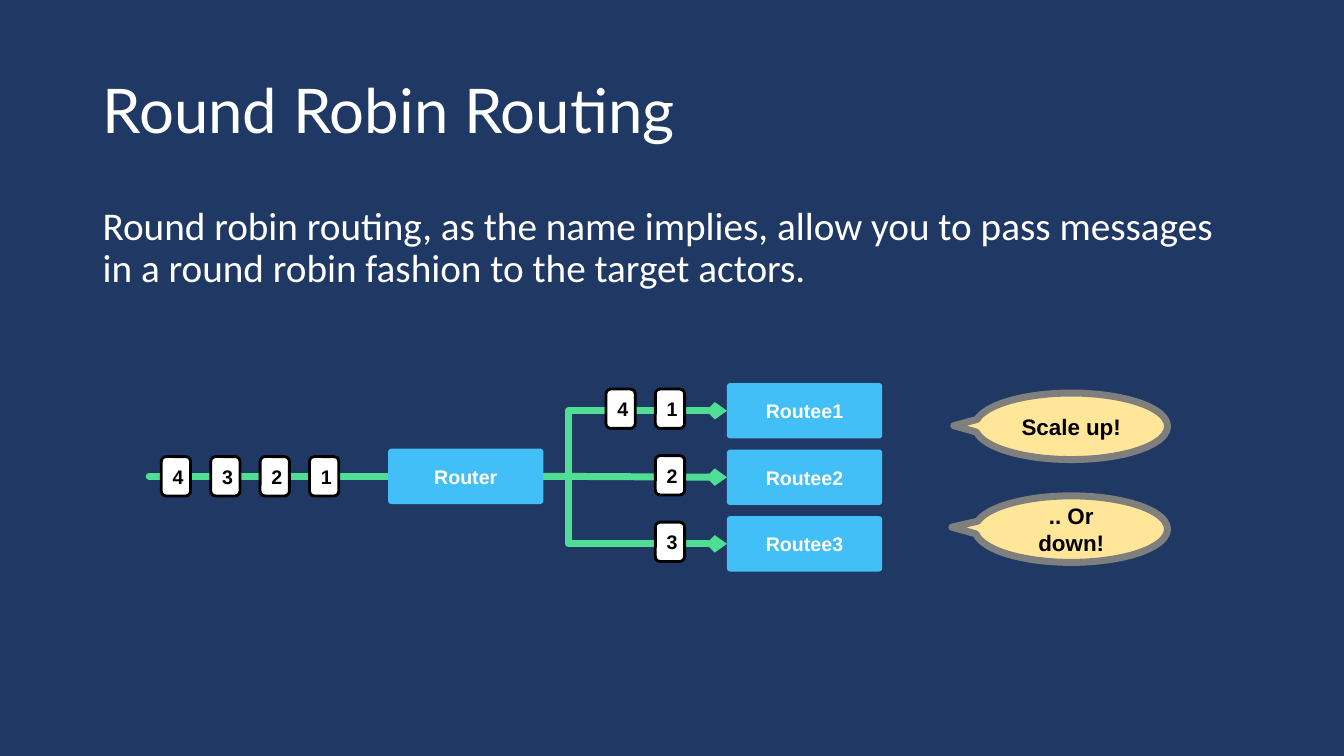
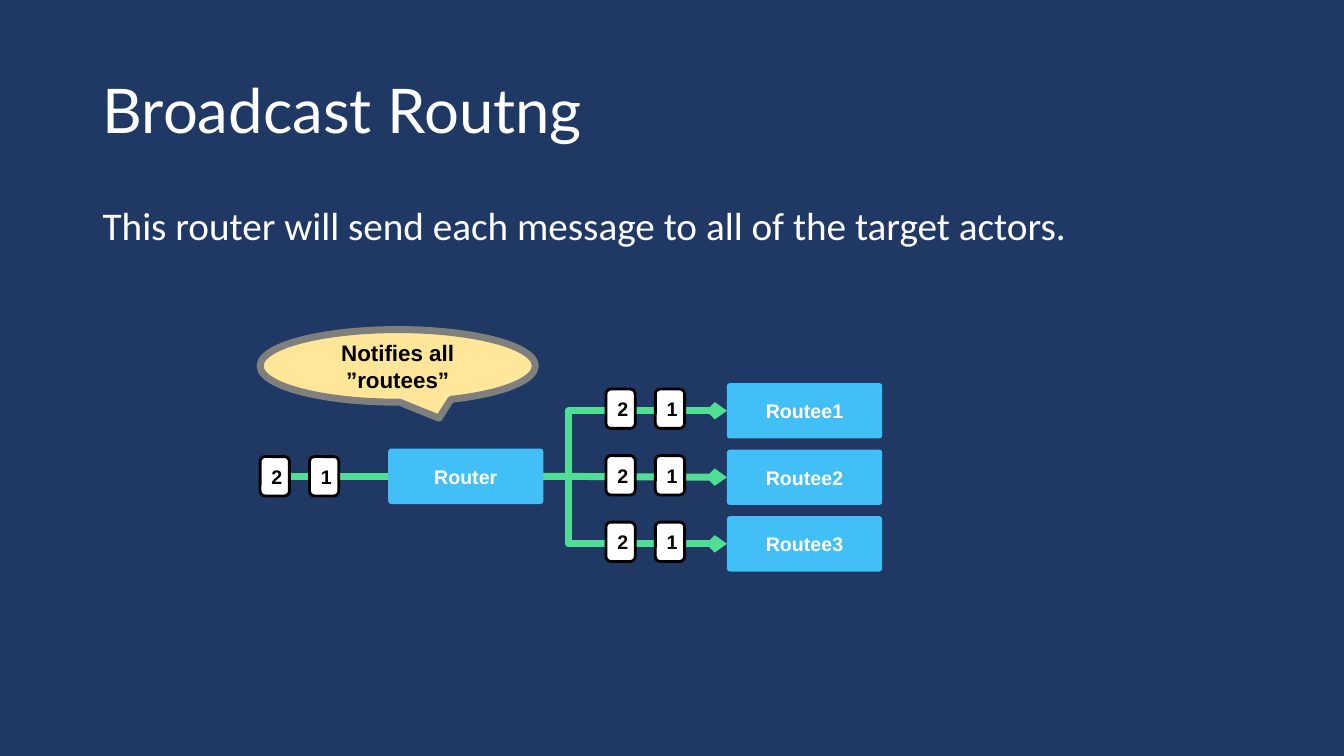
import pptx
import pptx.util
import pptx.dml.color
import pptx.enum.shapes
import pptx.enum.text
import pptx.oxml
import pptx.oxml.ns

Inches = pptx.util.Inches
SHAPE = pptx.enum.shapes.MSO_SHAPE
LINK = pptx.enum.shapes.MSO_CONNECTOR
ANCHOR = pptx.enum.text.MSO_ANCHOR
ALIGN = pptx.enum.text.PP_ALIGN

NAVY, WHITE, BLACK = "203864", "FFFFFF", "000000"
GREEN, BLUE, YELLOW, GREY = "50DE94", "43BFF7", "FFE699", "7F807D"

BOX_W, BOX_H = 1.54, 0.55
ROW_PITCH = 0.66
TOKEN_W, TOKEN_H, TOKEN_PITCH = 0.29, 0.39, 0.49


def rgb(value):
    return pptx.dml.color.RGBColor.from_string(value)


def add_run(p, text, size, font, color, bold=False):
    r = p.add_run()
    r.text = text
    r.font.size = pptx.util.Pt(size)
    r.font.name = font
    r.font.bold = bold
    r.font.color.rgb = rgb(color)


def add_text(s, box, text, size, font, anchor):
    tf = s.shapes.add_textbox(*map(Inches, box)).text_frame
    tf.word_wrap = True
    tf.vertical_anchor = anchor
    p = tf.paragraphs[0]
    p.line_spacing = 0.9
    add_run(p, text, size, font, WHITE)


def add_label(s, kind, box, text, fill, color=BLACK, size=14, line=None, adj=()):
    """Filled shape with a bold centred label; line is (colour, points)."""
    sp = s.shapes.add_shape(kind, *map(Inches, box))
    sp.shadow.inherit = False
    sp.fill.solid()
    sp.fill.fore_color.rgb = rgb(fill)
    if line:
        sp.line.color.rgb = rgb(line[0])
        sp.line.width = pptx.util.Pt(line[1])
    else:
        sp.line.fill.background()
    for i, value in enumerate(adj):
        sp.adjustments[i] = value
    tf = sp.text_frame
    tf.word_wrap = True
    tf.vertical_anchor = ANCHOR.MIDDLE
    p = tf.paragraphs[0]
    p.alignment = ALIGN.CENTER
    add_run(p, text, size, "Arial", color, True)
    return sp


def xml_child(parent, tag, **attrs):
    child = parent.makeelement(pptx.oxml.ns.qn(tag), attrs)
    parent.append(child)
    return child


def add_link(s, kind, start, end, behind, arrow=True):
    """Green link; start and end are (shape, side) or a point in inches."""
    c = s.shapes.add_connector(kind, 0, 0, 0, 0)
    if isinstance(start[0], float):
        c.begin_x, c.begin_y = map(Inches, start)
    else:
        c.begin_connect(*start)
    c.end_connect(*end)
    c.line.color.rgb = rgb(GREEN)
    c.line.width = pptx.util.Pt(5)
    spPr = c.element.spPr
    ln = spPr.find(pptx.oxml.ns.qn("a:ln"))
    ln.set("cap", "rnd")
    xml_child(ln, "a:round")
    if arrow:
        xml_child(ln, "a:tailEnd", type="arrow", w="sm", len="sm")
    xml_child(spPr, "a:effectLst")
    if kind == LINK.ELBOW:
        geom = spPr.find(pptx.oxml.ns.qn("a:prstGeom"))
        guides = geom.find(pptx.oxml.ns.qn("a:avLst"))
        if guides is None:
            guides = xml_child(geom, "a:avLst")
        xml_child(guides, "a:gd", name="adj1", fmla="val 13500")
    behind.element.addprevious(c.element)


def add_tokens(s, right, top, messages):
    """Numbered messages, set out from right to left."""
    for i, message in enumerate(messages):
        box = (right - i * TOKEN_PITCH, top, TOKEN_W, TOKEN_H)
        add_label(s, SHAPE.ROUNDED_RECTANGLE, box, message, WHITE, line=(BLACK, 2))


def add_box(s, left, top, text):
    return add_label(s, SHAPE.ROUNDED_RECTANGLE, (left, top, BOX_W, BOX_H),
                     text, BLUE, WHITE, adj=(0.06,))


def add_callout(s, box, text, pointer):
    add_label(s, SHAPE.OVAL_CALLOUT, box, text, YELLOW, size=16,
              line=(GREY, 5), adj=pointer)


def add_routing(s, left, top, line_start, incoming, outgoing):
    """Router diagram; left and top are the router's corner."""
    router = add_box(s, left, top, "Router")
    routee_x, first_y = left + 3.36, top - 0.65
    routees = [add_box(s, routee_x, first_y + i * ROW_PITCH, f"Routee{i + 1}")
               for i in range(len(outgoing))]

    # Links, placed behind the boxes
    for routee, kind in zip(routees, (LINK.ELBOW, LINK.STRAIGHT, LINK.ELBOW)):
        add_link(s, kind, (router, 3), (routee, 1), router)
    add_link(s, LINK.STRAIGHT, (line_start, top + BOX_H / 2), (router, 1),
             router, arrow=False)

    # Messages before and after the router
    add_tokens(s, left - 0.78, top + 0.08, incoming)
    for i, messages in enumerate(outgoing):
        add_tokens(s, routee_x - 0.71, first_y + i * ROW_PITCH + 0.06, messages)


def add_slide(prs, title, body, line_start, incoming, outgoing, callouts):
    s = prs.slides.add_slide(prs.slide_layouts[6])
    add_text(s, (0.92, 0.4, 11.5, 1.45), title, 44, "Lato", ANCHOR.MIDDLE)
    add_text(s, (0.92, 2, 11.5, 4.76), body, 28, "Calibri", ANCHOR.TOP)
    add_routing(s, 3.85, 4.45, line_start, incoming, outgoing)
    for callout in callouts:
        add_callout(s, *callout)


def main():
    prs = pptx.Presentation()
    prs.slide_width, prs.slide_height = Inches(13.33), Inches(7.5)
    fill = prs.slide_master.background.fill
    fill.solid()
    fill.fore_color.rgb = rgb(NAVY)

    add_slide(
        prs, "Round Robin Routing",
        "Round robin routing, as the name implies, allow you to pass messages "
        "in a round robin fashion to the target actors.",
        1.48, "1234", ("14", "2", "3"),
        [((9.67, 3.9, 1.91, 0.66), "Scale up!", (-0.61, -0.01)),
         ((9.67, 4.92, 1.91, 0.66), ".. Or down!", (-0.62, -0.03))])
    add_slide(
        prs, "Broadcast Routng",
        "This router will send each message to all of the target actors.",
        2.75, "12", ("12",) * 3,
        [((2.58, 3.27, 2.73, 0.72), "Notifies all ”routees”", (0.15, 0.72))])
    prs.save("out.pptx")


if __name__ == "__main__":
    main()
